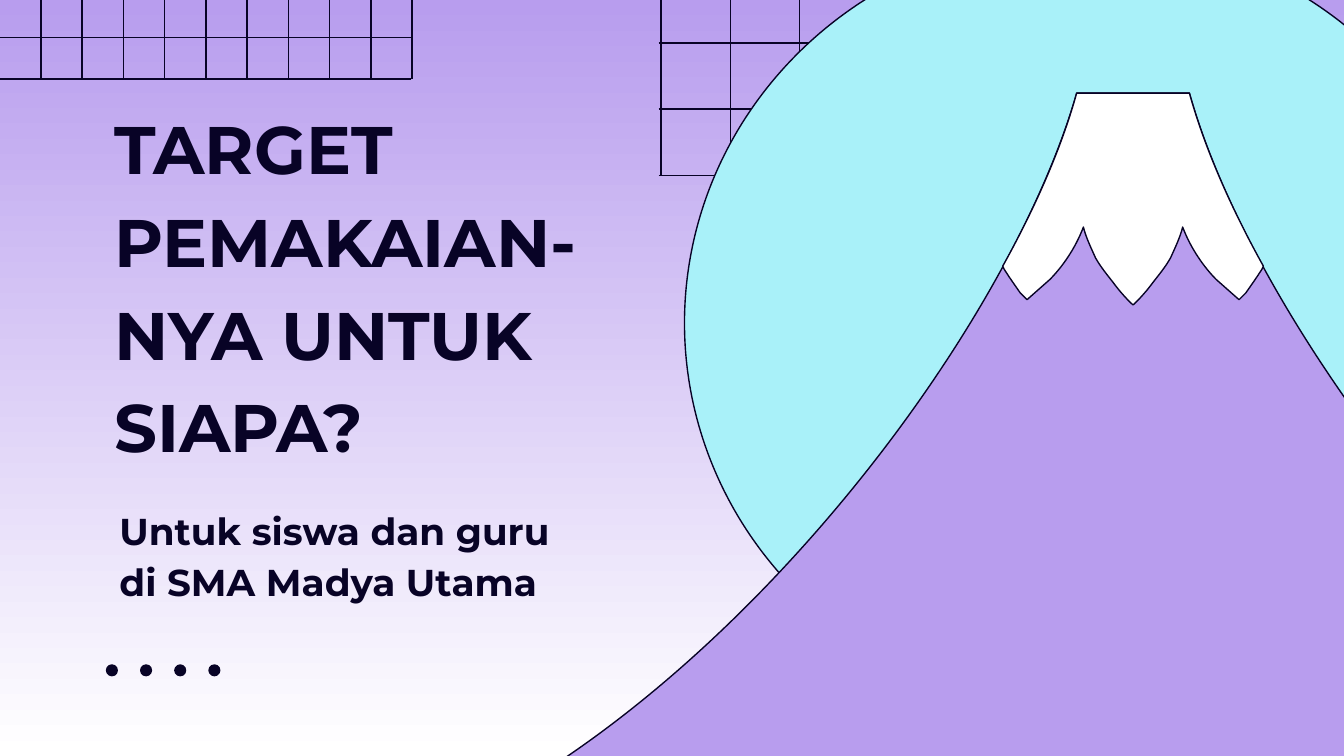
from lxml.etree import SubElement
from pptx import Presentation
from pptx.dml.color import RGBColor
from pptx.enum.shapes import MSO_CONNECTOR, MSO_SHAPE
from pptx.enum.text import MSO_ANCHOR, MSO_AUTO_SIZE, PP_ALIGN
from pptx.oxml.ns import qn
from pptx.util import Pt

INK = RGBColor(0x08, 0x03, 0x26)
LILAC = RGBColor(0xB8, 0x9D, 0xEE)
SKY = RGBColor(0xA9, 0xF1, 0xF9)
WHITE = RGBColor(0xFF, 0xFF, 0xFF)
FONT = "Montserrat"
LINE_WIDTH = 0.75

# Content; all lengths in points
HEADING = "TARGET PEMAKAIAN-NYA UNTUK SIAPA?"
AUDIENCE = "Untuk siswa dan guru di SMA Madya Utama"
HEADING_BOX = (54, 43.92, 298.8, 154.08)
AUDIENCE_BOX = (56.88, 261.36, 251.28, 52.56)

CORNER_GRID = dict(first_x=21.9, pitch=22.1, columns=10, top=-177,
                   bottom=42.4, left=-0.7, right=220.3, rows=(42.4, 20.2))
SUN_GRID = dict(first_x=354.2, pitch=37.06, columns=10, top=-260.6,
                bottom=94.1, left=352.8, right=723.6, rows=(94.1, 23, 58.5))
DOTS = dict(left=56.7, top=355.9, size=6.5, pitch=18.3, count=4)
SUN_BOX = (366.7, -34.6, 431.3, 415.4)
HALF_DISC_BOX = (623.5, 355.7, 147.6, 147.6)

# Outlines: one pair is a corner, three pairs are a Bézier curve
MOUNTAIN = [
    [(576.8, 49.9)],
    [(637.2, 49.9)],
    [(655.9, 116.6), (704.2, 198.7), (766.1, 272.9)],
    [(766.1, 551.5)],
    [(766.1, 556.6), (762.5, 560.2), (757.4, 560.2)],
    [(229.7, 560.2)],
    [(224.6, 560.2), (220.3, 556.6), (220.3, 551.5)],
    [(220.3, 450.7)],
    [(380.2, 386.6), (537.8, 185.8), (576.8, 49.9)],
]
SNOW_AXIS = 607
SNOW_RIGHT_HALF = [
    (637.2, 49.9),
    (645.1, 78.5), (658.8, 110.2), (676.8, 142.6),
    (676.1, 144.7), (674.6, 146.2), (673.9, 147.6),
    (671, 151.9), (668.9, 154.8), (667.4, 157),
    (665.3, 159.1), (663.8, 160.6), (663.8, 160.6),
    (663.8, 160.6), (658.8, 156.2), (651.6, 149.8),
    (645.1, 143.3), (637.9, 133.2), (633.6, 121.7),
    (632.2, 127.4), (629.3, 133.2), (627.1, 138.2),
    (624.2, 143.3), (620.6, 147.6), (617.8, 151.2),
    (612, 159.1), (607, 163.4), (607, 163.4),
]


def paint(shape, color, outlined=True):
    shape.shadow.inherit = False
    shape.fill.solid()
    shape.fill.fore_color.rgb = color
    if outlined:
        shape.line.color.rgb = INK
        shape.line.width = Pt(LINE_WIDTH)
    else:
        shape.line.fill.background()


def add_line(shapes, x1, y1, x2, y2):
    line = shapes.add_connector(
        MSO_CONNECTOR.STRAIGHT, Pt(x1), Pt(y1), Pt(x2), Pt(y2))
    line.line.color.rgb = INK
    line.line.width = Pt(LINE_WIDTH)
    SubElement(line._element.spPr, qn("a:effectLst"))


def add_grid(shapes, grid):
    for column in range(grid["columns"]):
        x = grid["first_x"] + column * grid["pitch"]
        add_line(shapes, x, grid["top"], x, grid["bottom"])
    for y in grid["rows"]:
        add_line(shapes, grid["left"], y, grid["right"], y)


def add_preset(shapes, preset, box, color, outlined=True):
    shape = shapes.add_shape(preset, *map(Pt, box))
    paint(shape, color, outlined)
    return shape


def add_outline(shapes, segments, color):
    vertices = [(Pt(x), Pt(y)) for segment in segments for x, y in segment]
    builder = shapes.build_freeform(*vertices[0])
    builder.add_line_segments(vertices[1:], close=False)
    shape = builder.convert_to_shape()
    paint(shape, color)

    # Join each curve's three points into one Bézier step
    outline = shape._element.find(".//" + qn("a:path"))
    steps = iter(outline.findall(qn("a:lnTo")))
    for segment in segments[1:]:
        first, *others = [next(steps) for _ in segment]
        if others:
            first.tag = qn("a:cubicBezTo")
            for other in others:
                first.append(other[0])
                outline.remove(other)
    SubElement(outline, qn("a:close"))


def write(holder, box, text, size):
    holder.left, holder.top, holder.width, holder.height = map(Pt, box)
    frame = holder.text_frame
    frame.text = text
    frame.word_wrap = True
    frame.auto_size = MSO_AUTO_SIZE.NONE
    frame.vertical_anchor = MSO_ANCHOR.TOP
    frame.margin_left = frame.margin_right = Pt(7.2)
    frame.margin_top = frame.margin_bottom = Pt(7.2)
    paragraph = frame.paragraphs[0]
    paragraph.alignment = PP_ALIGN.LEFT
    paragraph.line_spacing = 1.15
    paragraph.font.name = FONT
    paragraph.font.size = Pt(size)
    paragraph.font.bold = True
    paragraph.font.color.rgb = INK


def main():
    deck = Presentation()
    deck.slide_width, deck.slide_height = Pt(720), Pt(405)
    slide = deck.slides.add_slide(deck.slide_layouts[5])
    shapes = slide.shapes

    # Background, lilac fading down to white
    backdrop = slide.background.fill
    backdrop.gradient()
    backdrop.gradient_angle = 270
    for stop, color in zip(backdrop.gradient_stops, (LILAC, WHITE)):
        stop.color.rgb = color

    # Corner decorations
    add_grid(shapes, CORNER_GRID)
    half_disc = add_preset(shapes, MSO_SHAPE.PIE, HALF_DISC_BOX, SKY)
    half_disc.adjustments[0] = 0
    half_disc.adjustments[1] = 107.81
    half_disc.rotation = 180
    half_disc._element.spPr.find(qn("a:xfrm")).set("flipH", "1")

    # Row of dots
    for index in range(DOTS["count"]):
        x = DOTS["left"] + index * DOTS["pitch"]
        add_preset(shapes, MSO_SHAPE.OVAL,
                   (x, DOTS["top"], DOTS["size"], DOTS["size"]),
                   INK, outlined=False)

    # Text
    write(shapes.title, HEADING_BOX, HEADING, 36)
    write(shapes.add_textbox(0, 0, 0, 0), AUDIENCE_BOX, AUDIENCE, 20)

    # Grid, sun, mountain and its symmetrical snow cap
    add_grid(shapes, SUN_GRID)
    add_preset(shapes, MSO_SHAPE.OVAL, SUN_BOX, SKY)
    add_outline(shapes, MOUNTAIN, LILAC)
    left_half = [(2 * SNOW_AXIS - x, y)
                 for x, y in reversed(SNOW_RIGHT_HALF[:-1])]
    start, *curve = SNOW_RIGHT_HALF + left_half
    snow = [[start]] + [curve[i:i + 3] for i in range(0, len(curve), 3)]
    add_outline(shapes, snow + [[start]], WHITE)

    deck.save("out.pptx")


if __name__ == "__main__":
    main()
